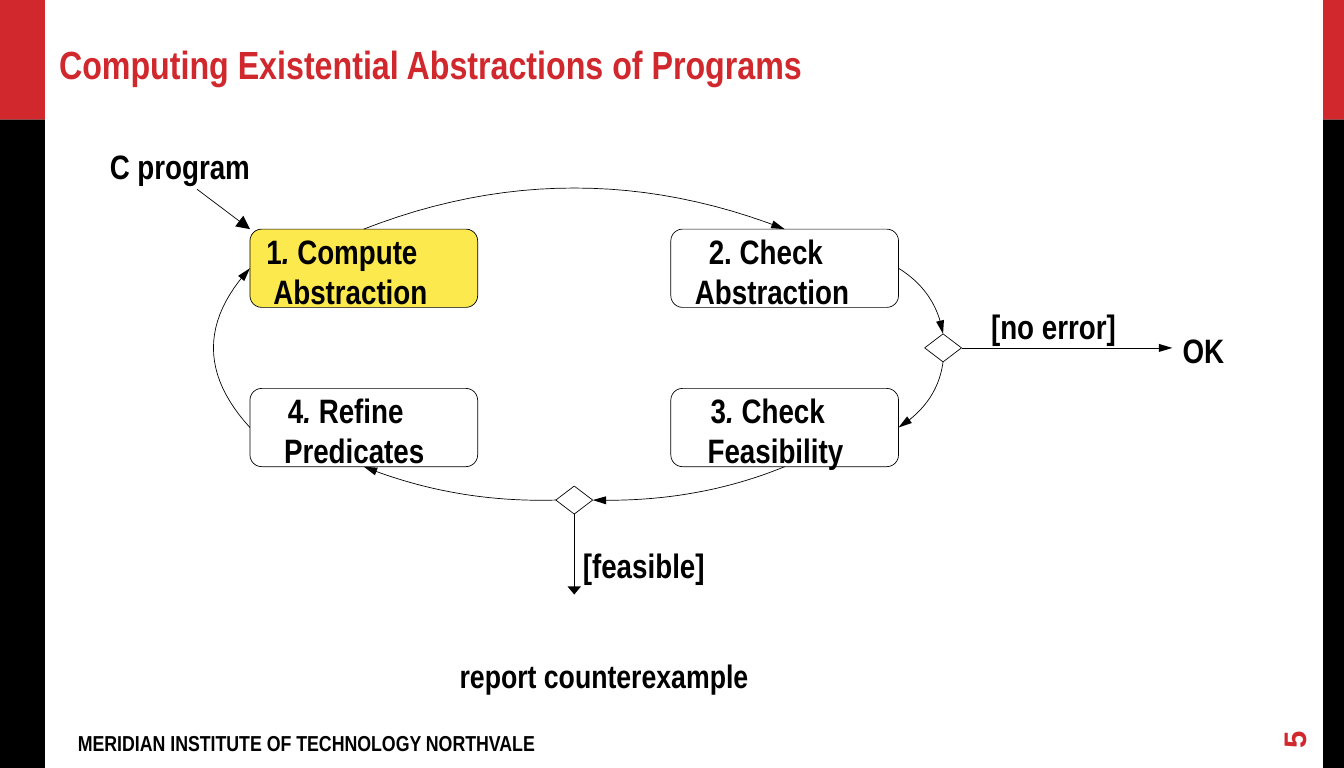
from pptx import Presentation
from pptx import util as u
from pptx.dml.color import RGBColor
from pptx.enum import shapes, text
from pptx.oxml.ns import qn
from lxml import etree

COLORS = {"red": "D1282E", "black": "000000", "yellow": "FCE94E"}
NARROW = "Arial Narrow"

# All lengths are in centimetres.
SLIDE_W, SLIDE_H = 35, 20.01
BAND_H = 3.12
SIDEBARS = [(0, 1.17), (34.46, 0.54)]  # left, width

TITLE = "Computing Existential Abstractions of Programs"
FOOTER = "MERIDIAN INSTITUTE OF TECHNOLOGY NORTHVALE"
PAGE = "5"

COLUMNS, ROWS = (6.51, 17.47), (5.97, 10.12)
STEP_W, STEP_H = 5.93, 2.04
# number, dot, name, column, row, side inset, left margin, first line indent, fill
STEPS = [
    ("1", ". ", "Compute Abstraction", 0, 0, 0.27, 0.25, -0.18, "yellow"),
    ("2.", "", " Check Abstraction", 1, 0, 0.46, 0.08, 0.36, None),
    ("3", ". ", "Check Feasibility", 1, 1, 0.79, 0.08, 0.08, None),
    ("4", ". ", "Refine Predicates", 0, 1, 0.72, 0.08, 0.1, None),
]
LABELS = [  # wording, left, top, width
    ("C program", 2.78, 3.8, 4.72),
    ("[no error]", 25.73, 7.96, 4.11),
    ("OK", 30.72, 8.58, 1.57),
    ("[feasible]", 15.1, 14.18, 4.11),
]

LEFT, RIGHT = COLUMNS[0], COLUMNS[1] + STEP_W
CENTER_1, CENTER_2 = (column + STEP_W / 2 for column in COLUMNS)
MIDDLE_X = (CENTER_1 + CENTER_2) / 2
TOP, BOTTOM = ROWS[0], ROWS[1] + STEP_H
MID_1, MID_2 = (row + STEP_H / 2 for row in ROWS)
MIDDLE_Y = (MID_1 + MID_2) / 2
CHOICE_W, CHOICE_H = 0.96, 0.73
ERROR_X, FEASIBLE_Y = 24.56, 13.03
CHOICES = [(ERROR_X, MIDDLE_Y), (MIDDLE_X, FEASIBLE_Y)]

ARCS = [  # start, point halfway, end
    ((CENTER_1, TOP), (MIDDLE_X, 4.9), (CENTER_2, TOP)),
    ((RIGHT, MID_1), (24.18, 7.72), (ERROR_X, MIDDLE_Y - CHOICE_H / 2)),
    ((ERROR_X, MIDDLE_Y + CHOICE_H / 2), (24.2, 10.39), (RIGHT, MID_2)),
    ((CENTER_2, BOTTOM), (18.03, 12.85), (MIDDLE_X + CHOICE_W / 2, FEASIBLE_Y)),
    ((MIDDLE_X - CHOICE_W / 2, FEASIBLE_Y), (11.91, 12.85), (CENTER_1, BOTTOM)),
    ((LEFT, MID_2), (5.56, MIDDLE_Y), (LEFT, MID_1)),
]
ARROWS = [  # start, end, head width, head length
    ((5.13, 4.93), (LEFT, TOP), "lg", "lg"),
    ((ERROR_X + CHOICE_W / 2, MIDDLE_Y), (30.53, MIDDLE_Y), "med", "lg"),
    ((MIDDLE_X, FEASIBLE_Y + CHOICE_H / 2), (MIDDLE_X, 15.49), "lg", "med"),
]


def rgb(name):
    """Return the named colour."""
    return RGBColor.from_string(COLORS[name])


def write(frame, runs, size=25, font=NARROW, color="black", inset=(0, 0),
          margin=0.08, indent=0, spacing=None, anchor=text.MSO_ANCHOR.TOP):
    """Write one paragraph of (wording, italic) runs into a text frame."""
    frame.word_wrap = True
    frame.vertical_anchor = anchor
    frame.margin_left = frame.margin_right = u.Cm(inset[0])
    frame.margin_top = frame.margin_bottom = u.Cm(inset[1])
    paragraph = frame.paragraphs[0]
    paragraph.alignment = text.PP_ALIGN.LEFT
    if spacing:
        paragraph.line_spacing = u.Pt(spacing)
    properties = paragraph._p.get_or_add_pPr()
    properties.set("marL", str(u.Cm(margin)))
    properties.set("indent", str(u.Cm(indent)))
    for wording, italic in runs:
        run = paragraph.add_run()
        run.text = wording
        run.font.name, run.font.size = font, u.Pt(size)
        run.font.bold, run.font.italic = True, italic
        run.font.color.rgb = rgb(color)


def label(wording, left, top, width, height, **style):
    """Place a text box with one plain run."""
    box = slide.shapes.add_textbox(*map(u.Cm, (left, top, width, height)))
    write(box.text_frame, [(wording, False)], **style)
    return box


def block(kind, left, top, width, height, fill=None, outlined=True):
    """Place a preset shape with an optional fill and thin outline."""
    shape = slide.shapes.add_shape(kind, *map(u.Cm, (left, top, width, height)))
    shape.shadow.inherit = False
    if fill:
        shape.fill.solid()
        shape.fill.fore_color.rgb = rgb(fill)
    else:
        shape.fill.background()
    if outlined:
        thin_line(shape)
    else:
        shape.line.fill.background()
    return shape


def thin_line(shape, head=None):
    """Give a shape a thin black line, with a (width, length) arrowhead if asked."""
    shape.line.color.rgb = rgb("black")
    shape.line.width = u.Pt(0.5)
    if head:
        etree.SubElement(shape.line._get_or_add_ln(), qn("a:tailEnd"),
                         type="triangle", w=head[0], len=head[1])


def arc(start, halfway, end, steps=24):
    """Draw a curved arrow through a point halfway."""
    control = [2 * m - (a + b) / 2 for a, m, b in zip(start, halfway, end)]
    points = []
    for step in range(steps + 1):
        t = step / steps
        points.append([u.Cm((1 - t) ** 2 * a + 2 * t * (1 - t) * c + t * t * b)
                       for a, c, b in zip(start, control, end)])
    builder = slide.shapes.build_freeform(*points[0])
    builder.add_line_segments(points[1:], close=False)
    curve = builder.convert_to_shape()
    curve.shadow.inherit = False
    curve.fill.background()
    thin_line(curve, head=("med", "lg"))


def arrow(start, end, *head):
    """Draw a straight arrow."""
    line = slide.shapes.add_connector(shapes.MSO_CONNECTOR.STRAIGHT,
                                      *map(u.Cm, (*start, *end)))
    thin_line(line, head)
    etree.SubElement(line._element.spPr, qn("a:effectLst"))


deck = Presentation()
deck.slide_width, deck.slide_height = u.Cm(SLIDE_W), u.Cm(SLIDE_H)
slide = deck.slides.add_slide(deck.slide_layouts[6])

for left, width in SIDEBARS:
    for top, height, color in [(0, BAND_H, "red"),
                               (BAND_H, SLIDE_H - BAND_H, "black")]:
        block(shapes.MSO_SHAPE.RECTANGLE, left, top, width, height, color, False)

label(TITLE, 1.46, 0.44, 32.66, 1.83, size=29, color="red",
      anchor=text.MSO_ANCHOR.BOTTOM)

for number, dot, name, column, row, side, margin, indent, fill in STEPS:
    step = block(shapes.MSO_SHAPE.ROUNDED_RECTANGLE, COLUMNS[column], ROWS[row],
                 STEP_W, STEP_H, fill)
    step.adjustments[0] = 0.15
    runs = [(number, False), (dot, True), (name, False)]
    write(step.text_frame, [run for run in runs if run[0]], inset=(side, -0.03),
          margin=margin, indent=indent, spacing=29.5)

for x, y in CHOICES:
    block(shapes.MSO_SHAPE.DIAMOND, x - CHOICE_W / 2, y - CHOICE_H / 2,
          CHOICE_W, CHOICE_H)
for points in ARCS:
    arc(*points)
for parts in ARROWS:
    arrow(*parts)
for wording, left, top, width in LABELS:
    label(wording, left, top, width, 0.97)

label("report counterexample", 11.72, 16.95, 8.5, 1.27, size=24,
      inset=(0.25, 0.13), margin=0)
label(FOOTER, 1.75, 18.88, 21.29, 0.86, size=16, inset=(0.28, 0.15), margin=0)
page = label(PAGE, 32.66, 18.31, 2.06, 0.86, size=23, font="Arial", color="red",
             inset=(0.28, 0.15), margin=0, anchor=text.MSO_ANCHOR.MIDDLE)
page.rotation = 270

deck.save("out.pptx")
